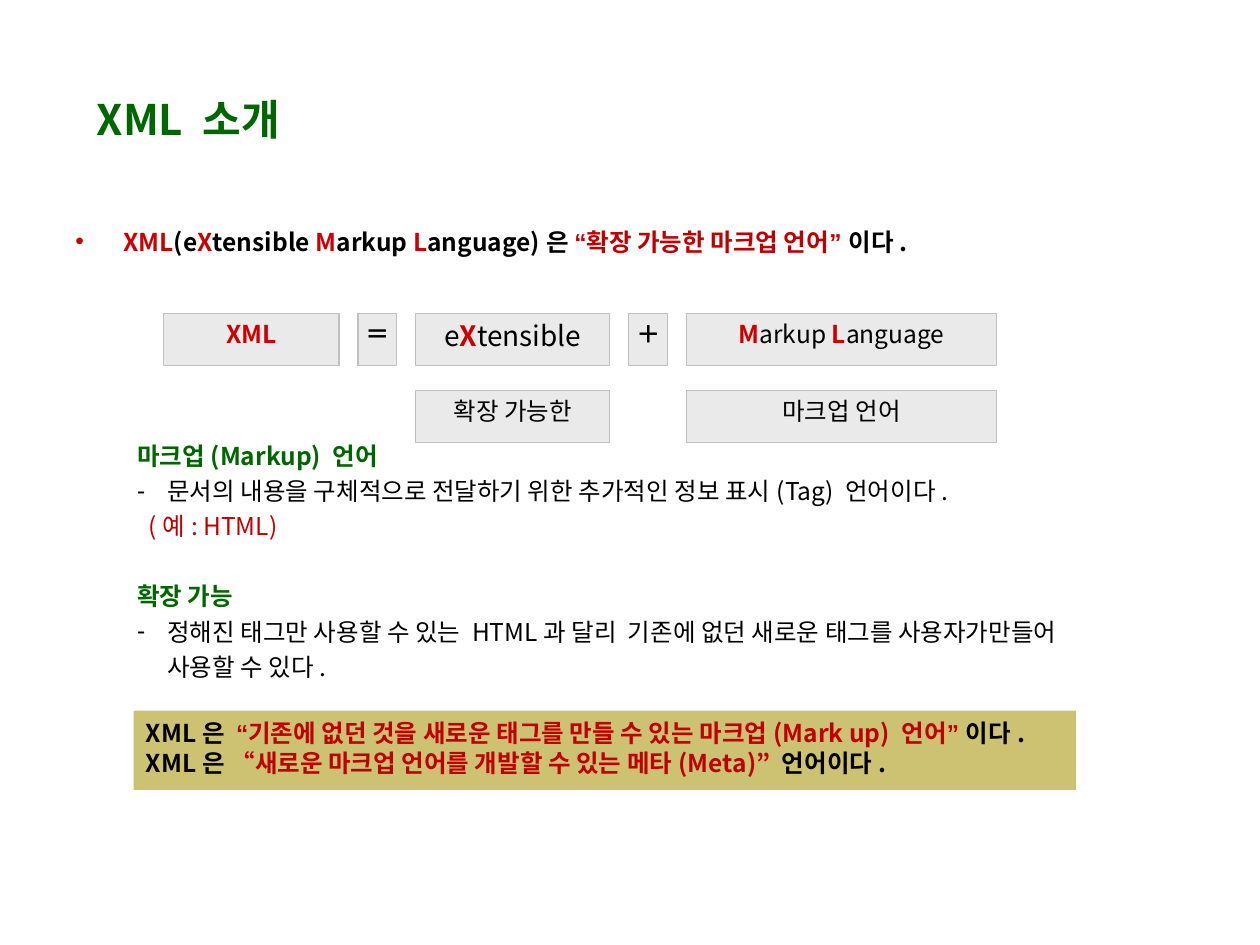
from lxml import etree
from pptx import Presentation
from pptx.dml.color import RGBColor
from pptx.enum.shapes import MSO_SHAPE
from pptx.enum.text import MSO_ANCHOR, PP_ALIGN
from pptx.oxml.ns import qn
from pptx.util import Inches, Pt

RECTANGLE = MSO_SHAPE.RECTANGLE
TOP, MIDDLE = MSO_ANCHOR.TOP, MSO_ANCHOR.MIDDLE
LEFT, CENTER = PP_ALIGN.LEFT, PP_ALIGN.CENTER

BLACK, GREEN, RED, DARK_RED = "000000", "006600", "CC0000", "C00000"
GREY, SILVER, KHAKI = "EAEAEA", "C0C0C0", "CDC271"
SANS, QUOTE = "Noto Sans CJK KR", "Arial"


def color(code):
    return RGBColor.from_string(code)


class SlideBuilder:
    """Holds the text style and the current page."""

    def __init__(self, page, font=SANS, size=14):
        self.page, self.font, self.size = page, font, size

    def frame(self, shape, anchor, margins):
        frame = shape.text_frame
        frame.word_wrap = True
        frame.vertical_anchor = anchor
        (frame.margin_left, frame.margin_top,
         frame.margin_right, frame.margin_bottom) = map(Inches, margins)
        return frame

    def text_box(self, area, anchor=TOP):
        box = self.page.shapes.add_textbox(*map(Inches, area))
        return self.frame(box, anchor, (0.1, 0.05, 0.1, 0.05))

    def rectangle(self, area, fill, line=None, anchor=TOP, margins=(0, 0.04, 0, 0)):
        box = self.page.shapes.add_shape(RECTANGLE, *map(Inches, area))
        box.shadow.inherit = False
        box.fill.solid()
        box.fill.fore_color.rgb = color(fill)
        if line:
            box.line.color.rgb = color(line)
            box.line.width = Pt(0.75)
        else:
            box.line.fill.background()
        return self.frame(box, anchor, margins)

    def paragraph(self, frame, spans, first=False, size=None, align=LEFT,
                  spacing=None, before=0, indent=0, bullet=None):
        """Each span is (text, colour, bold) with an optional font."""
        para = frame.paragraphs[0] if first else frame.add_paragraph()
        para.alignment = align
        if spacing:
            para.line_spacing = spacing
        if before:
            para.space_before = Pt(before)
        self.indent(para, indent, bullet)
        for text, code, bold, *font in spans:
            span = para.add_run()
            span.text = text
            span.font.size = Pt(size or self.size)
            span.font.bold = bold
            span.font.color.rgb = color(code)
            span.font.name = font[0] if font else self.font
            east_asian = etree.SubElement(span.font._element, qn("a:ea"))
            east_asian.set("typeface", span.font.name)

    def indent(self, para, indent, bullet):
        props = para._p.get_or_add_pPr()
        props.set("marL", str(Inches(indent)))
        props.set("indent", str(Inches(-indent if bullet else 0)))
        if bullet:
            mark, code = bullet
            tint = etree.SubElement(props, qn("a:buClr"))
            etree.SubElement(tint, qn("a:srgbClr")).set("val", code)
            etree.SubElement(props, qn("a:buFont")).set("typeface", QUOTE)
            etree.SubElement(props, qn("a:buChar")).set("char", mark)


def main():
    deck = Presentation()
    deck.slide_width, deck.slide_height = Inches(10), Inches(7.5)
    builder = SlideBuilder(deck.slides.add_slide(deck.slide_layouts[6]))

    # Title
    title = builder.text_box((0.67, 0.6, 5.99, 0.69), MIDDLE)
    builder.paragraph(title, [("XML 소개", GREEN, True)], first=True, size=24)

    # Definition
    definition = builder.text_box((0.5, 1.75, 9, 4.95))
    builder.paragraph(definition, [
        ("XML", RED, True), ("(e", BLACK, True), ("X", RED, True),
        ("tensible ", BLACK, True), ("M", RED, True), ("arkup ", BLACK, True),
        ("L", RED, True), ("anguage)은 ", BLACK, True),
        ("“", DARK_RED, True, QUOTE), ("확장 가능한 마크업 언어", DARK_RED, True),
        ("” ", DARK_RED, True, QUOTE), ("이다.", BLACK, True),
    ], first=True, indent=0.38, bullet=("•", RED))

    # Word equation: width, size, spans, translation below
    equation = [
        (1.39, 14, [("XML", RED, True)], None),
        (0.31, 14, [("＝", BLACK, True)], None),
        (1.54, 16, [("e", BLACK, False), ("X", RED, True),
                    ("tensible", BLACK, False)], "확장 가능한"),
        (0.31, 14, [("＋", BLACK, True)], None),
        (2.46, 14, [("M", RED, True), ("arkup ", BLACK, False), ("L", RED, True),
                    ("anguage", BLACK, False)], "마크업 언어"),
    ]
    left, top, height, gap, row_step = 1.3, 2.49, 0.41, 0.15, 0.61
    for width, size, spans, translation in equation:
        term = builder.rectangle((left, top, width, height), GREY, SILVER)
        builder.paragraph(term, spans, first=True, size=size, align=CENTER)
        if translation:
            meaning = builder.rectangle((left, top + row_step, width, height), GREY, SILVER)
            builder.paragraph(meaning, [(translation, BLACK, False)],
                              first=True, align=CENTER)
        left += width + gap

    # Explanations
    notes = builder.text_box((0.99, 3.4, 7.63, 2.06), MIDDLE)
    dash = {"indent": 0.24, "bullet": ("-", BLACK)}
    lines = [
        ("마크업(Markup) 언어", GREEN, True, {"first": True}),
        ("문서의 내용을 구체적으로 전달하기 위한 추가적인 정보 표시(Tag) 언어이다.",
         BLACK, False, dash),
        ("(예: HTML)", DARK_RED, False, {"indent": 0.09}),
        ("확장 가능", GREEN, True, {"before": 20}),
        ("정해진 태그만 사용할 수 있는 HTML과 달리  기존에 없던 새로운 태그를 "
         "사용자가만들어 사용할 수 있다.", BLACK, False, dash),
    ]
    for text, code, bold, layout in lines:
        builder.paragraph(notes, [(text, code, bold)], spacing=1.2, **layout)

    # Summary
    summary = builder.rectangle((1.06, 5.64, 7.48, 0.63), KHAKI, anchor=MIDDLE,
                                margins=(0.1, 0, 0.1, 0.04))
    builder.paragraph(summary, [
        ("XML은  ", BLACK, True), ("“", DARK_RED, True, QUOTE),
        ("기존에 없던 것을 새로운 태그를 만들 수 있는 마크업(Mark up) 언어", DARK_RED, True),
        ("” ", DARK_RED, True, QUOTE), ("이다.", BLACK, True),
    ], first=True)
    builder.paragraph(summary, [
        ("XML은 ", BLACK, True),
        ("“새로운 마크업 언어를 개발할 수 있는 메타(Meta)” ", DARK_RED, True),
        ("언어이다.", BLACK, True),
    ])

    deck.save("out.pptx")


if __name__ == "__main__":
    main()
